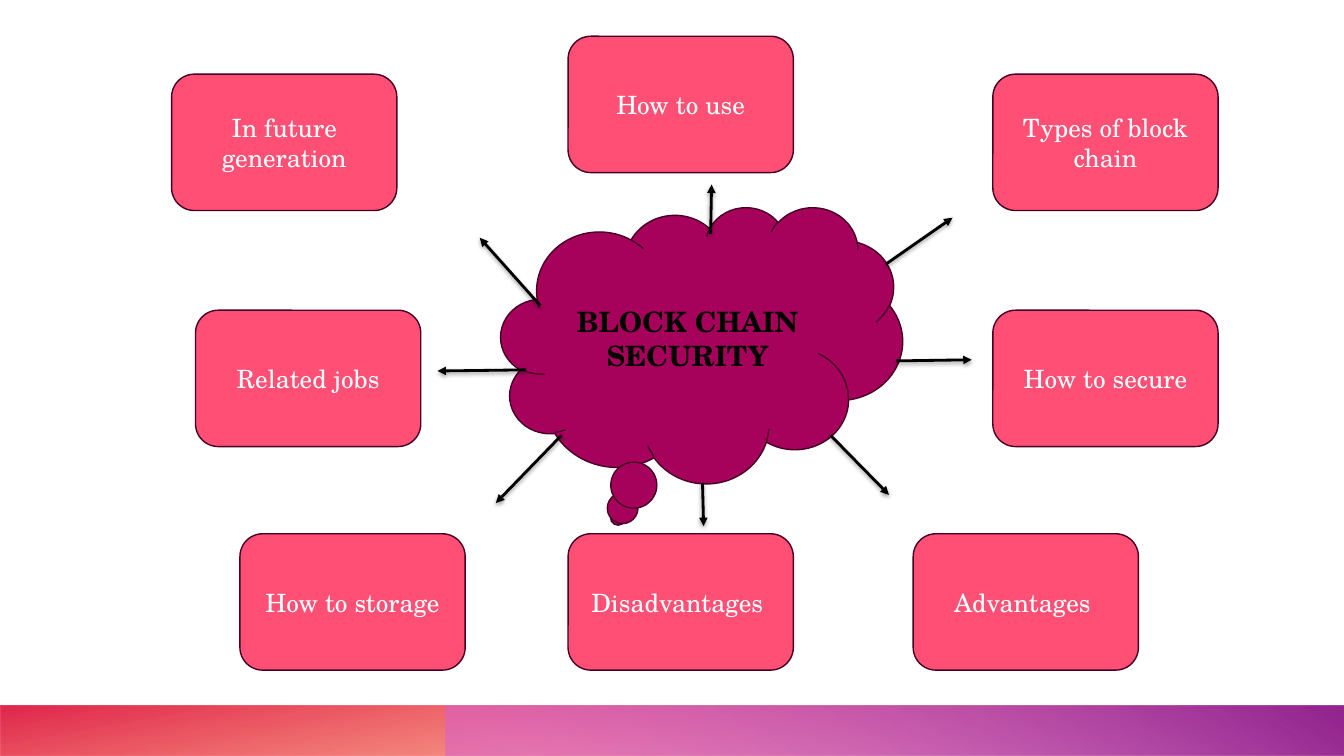
import pptx
import pptx.util
import pptx.dml.color
import pptx.enum.shapes
import pptx.enum.text
import pptx.oxml
import pptx.oxml.ns

Pt = pptx.util.Pt
KINDS = pptx.enum.shapes.MSO_SHAPE
FONT = "TeX Gyre Schola"
COLORS = {
    "cloud": "A6025C", "box": "FF4F74", "edge": "460026",
    "black": "000000", "white": "FFFFFF",
    "orange": "FE4A00", "red": "DA002F", "pink": "D85FD4", "purple": "92248E",
}

# Content: all lengths in points
WIDE, HIGH = 960, 540
TITLE = "BLOCK CHAIN SECURITY"
CLOUD = (357.8, 147.7, 286.9, 197.3)
BOX_W, BOX_H = 160.9, 97.4
TOP, UPPER, MIDDLE, LOWER = 25.9, 53, 221.6, 381.3
CENTER, RIGHT = 405.8, 709.2
TOPICS = [
    ("In future generation", 122.6, UPPER),
    ("Related jobs", 139.7, MIDDLE),
    ("How to storage", 171.4, LOWER),
    ("How to use", CENTER, TOP),
    ("Types of block chain", RIGHT, UPPER),
    ("How to secure", RIGHT, MIDDLE),
    ("Advantages ", 652.3, LOWER),
    ("Disadvantages ", CENTER, LOWER),
]
ARROWS = [
    (385.9, 218.2, 342.7, 169.9),
    (632.9, 188.6, 680.4, 155.5),
    (401, 311, 354.2, 359.3),
    (375.8, 264.2, 312.5, 265),
    (640.1, 257.8, 694.1, 257),
    (507.6, 167, 508.3, 131.8),
    (501.8, 344.9, 502.6, 375.8),
    (593.3, 311, 635, 353.5),
]
# Bars: left, width, turn, gradient angle, stops (percent, colour, opacity)
BAR_H = 36
BARS = [
    (0, WIDE, 180, 100,
     [(0, "orange", 28), (14, "orange", 28), (100, "red", 85)]),
    (318, WIDE - 318, 0, 240,
     [(0, "pink", 55), (9, "pink", 55), (99, "purple", 100), (100, "purple", 100)]),
]


def paint(target, name):
    target.solid()
    target.fore_color.rgb = pptx.dml.color.RGBColor.from_string(COLORS[name])


def make_xml(text):
    space = pptx.oxml.ns.nsdecls("a")
    return pptx.oxml.parse_xml(text.replace(">", f" {space}>", 1))


def tint(name, alpha):
    return (f'<a:srgbClr val="{COLORS[name]}">'
            f'<a:alpha val="{alpha * 1000}"/></a:srgbClr>')


def add_shape(slide, kind, place, fill):
    shape = slide.shapes.add_shape(kind, *[Pt(n) for n in place])
    shape.shadow.inherit = False
    paint(shape.fill, fill)
    paint(shape.line.fill, "edge")
    shape.line.width = Pt(1)
    return shape


def add_text(shape, text, size=18, color="white", bold=False):
    frame = shape.text_frame
    frame.word_wrap = True
    frame.vertical_anchor = pptx.enum.text.MSO_ANCHOR.MIDDLE
    para = frame.paragraphs[0]
    para.alignment = pptx.enum.text.PP_ALIGN.CENTER
    run = para.add_run()
    run.text = text
    run.font.name = FONT
    run.font.size = Pt(size)
    run.font.bold = bold
    paint(run.font.fill, color)


def add_bar(slide, left, width, turn, angle, stops):
    bar = add_shape(slide, KINDS.RECTANGLE,
                    (left, HIGH - BAR_H, width, BAR_H), "pink")
    bar.line.fill.background()
    bar.rotation = turn
    props = bar._element.spPr
    props.find(pptx.oxml.ns.qn("a:xfrm")).set("flipH", "1")
    marks = "".join(f'<a:gs pos="{spot * 1000}">{tint(name, alpha)}</a:gs>'
                    for spot, name, alpha in stops)
    blend = make_xml(f'<a:gradFill rotWithShape="1"><a:gsLst>{marks}</a:gsLst>'
                     f'<a:lin ang="{angle * 60000}" scaled="0"/></a:gradFill>')
    solid = props.find(pptx.oxml.ns.qn("a:solidFill"))
    props.replace(solid, blend)


def add_arrow(slide, ends):
    arrow = slide.shapes.add_connector(
        pptx.enum.shapes.MSO_CONNECTOR.STRAIGHT, *[Pt(n) for n in ends])
    paint(arrow.line.fill, "black")
    arrow.line.width = Pt(2)
    arrow.line._get_or_add_ln().append(make_xml('<a:tailEnd type="triangle"></a:tailEnd>'))
    arrow._element.spPr.append(make_xml(
        f'<a:effectLst><a:outerShdw blurRad="{Pt(3.1)}" dist="{Pt(1.6)}" '
        f'dir="5400000" rotWithShape="0">{tint("black", 38)}'
        '</a:outerShdw></a:effectLst>'))


def main():
    deck = pptx.Presentation()
    deck.slide_width, deck.slide_height = Pt(WIDE), Pt(HIGH)
    slide = deck.slides.add_slide(deck.slide_layouts[6])

    # Footer bars
    for bar in BARS:
        add_bar(slide, *bar)

    # Central cloud
    cloud = add_shape(slide, KINDS.CLOUD_CALLOUT, CLOUD, "cloud")
    cloud.adjustments[0] = -0.208
    cloud.adjustments[1] = 0.625
    add_text(cloud, TITLE, size=20, color="black", bold=True)

    # Topic boxes
    for text, left, top in TOPICS:
        box = add_shape(slide, KINDS.FLOWCHART_ALTERNATE_PROCESS,
                        (left, top, BOX_W, BOX_H), "box")
        add_text(box, text)

    # Arrows from the cloud
    for ends in ARROWS:
        add_arrow(slide, ends)

    deck.save("out.pptx")


if __name__ == "__main__":
    main()
